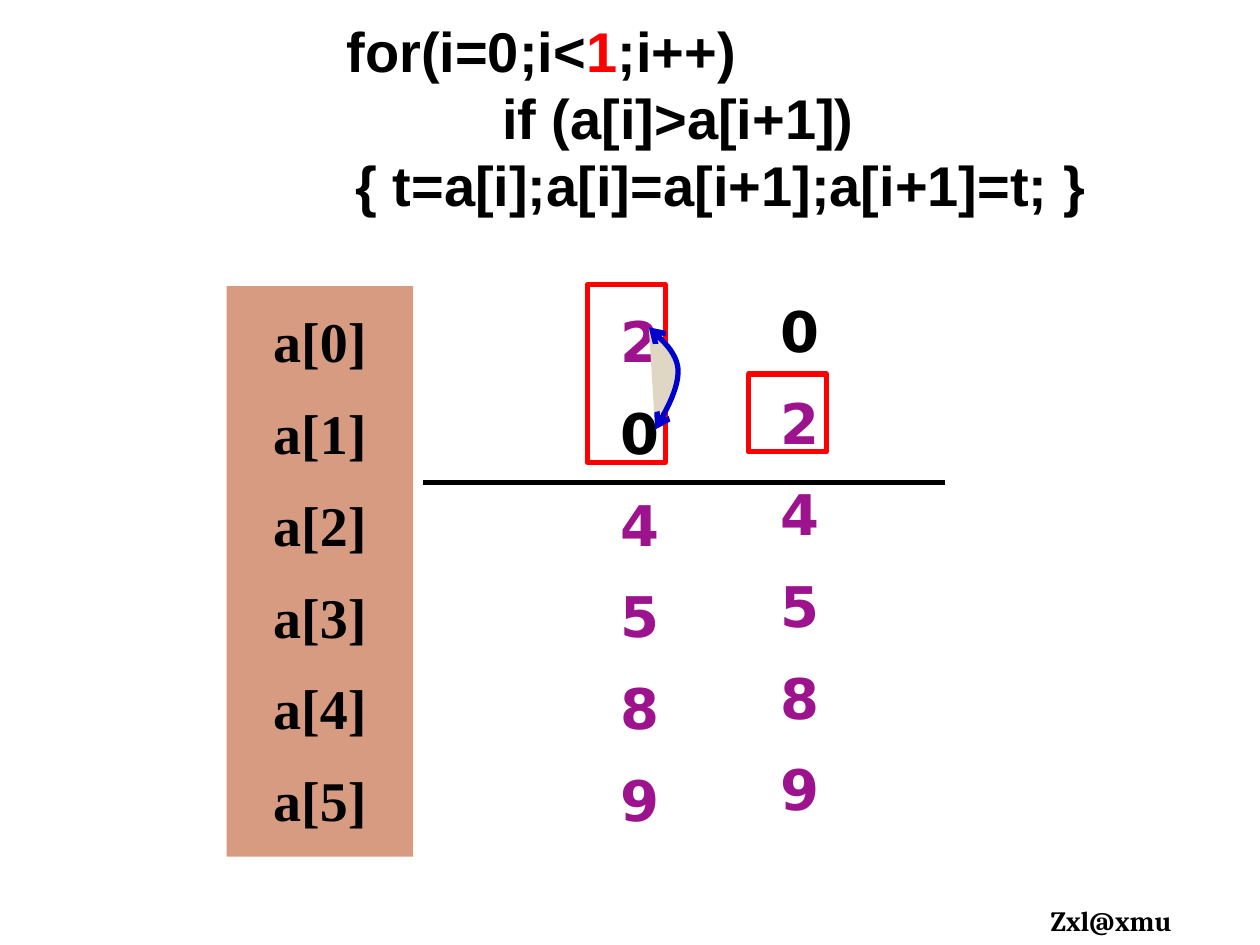
import pptx
import pptx.dml.color
import pptx.enum.shapes
import pptx.enum.text
import pptx.oxml
import pptx.oxml.ns
import pptx.util

Cm, Pt = pptx.util.Cm, pptx.util.Pt
SHAPE = pptx.enum.shapes.MSO_SHAPE
ALIGN = pptx.enum.text.PP_ALIGN

THEME = {
    "ink": "000000", "accent": "FF0000", "value": "9D138D", "panel": "D69B80",
    "paper": "FFFFFF", "arrow": "0000CC", "bow": "DFD6C3",
    "code_font": "Arial", "label_font": "Times New Roman",
    "value_font": "DejaVu Sans", "footer_font": "Cambria",
    "size": 32, "footer_size": 16, "line": 3, "row": 46.6, "row_gap": 5.8,
}

# Code lines: left indent in cm, then runs of text and colour
CODE = [
    (1.07, [("for(i=0;i<", "ink"), ("1", "accent"), (";i++)", "ink")]),
    (4.21, [("if (a[i]>a[i+1])", "ink")]),
    (1.25, [("{ t=a[i];a[i]=a[i+1];a[i+1]=t; }", "ink")]),
]
LABELS = [f"a[{i}]" for i in range(6)]
FOOTER = "Zxl@xmu"
MOVING = "0"  # the value that bubbles up

# Boxes in cm: left, top, width, height
CODE_BOX = (5.66, 0.2, 16.61, 4.37)
LABEL_BOX = (4.57, 5.77, 3.76, 11.5)
FOOTER_BOX = (20.93, 18.08, 3.28, 0.94)
STEPS = [
    {"values": "204589", "box": (11.91, 5.77, 1.98, 11.5),
     "frame": (11.84, 5.74, 1.57, 3.58)},
    {"values": "024589", "box": (15.14, 5.56, 1.98, 11.5),
     "frame": (15.09, 7.54, 1.57, 1.57)},
]
DIVIDER = (8.53, 9.73, 19.05, 9.73)
SWAP_CURVES = [
    [(13.21, 8.66), (13.46, 8.23), (13.69, 7.8), (13.67, 7.44)],
    [(13.67, 7.44), (13.64, 7.11), (13.36, 6.86), (13.08, 6.6)],
]
CURVE_STEPS = 12


def cm(values):
    return [Cm(v) for v in values]


def color(name):
    return pptx.dml.color.RGBColor.from_string(THEME[name])


def style_run(r, font, size, ink):
    r.font.name, r.font.size, r.font.bold = THEME[font], Pt(THEME[size]), True
    r.font.color.rgb = color(ink)


def place(s, box):
    s.left, s.top, s.width, s.height = cm(box)


def prepare(tf):
    tf.word_wrap = True
    tf.auto_size = pptx.enum.text.MSO_AUTO_SIZE.NONE
    tf.vertical_anchor = pptx.enum.text.MSO_ANCHOR.TOP


def fill(s, name):
    s.fill.solid()
    s.fill.fore_color.rgb = color(name)


def outline(s, name):
    s.line.color.rgb = color(name)
    s.line.width = Pt(THEME["line"])


def add_xml(parent, tag, **attributes):
    """Append an empty drawing element to parent."""
    element = pptx.oxml.parse_xml(f"<a:{tag} {pptx.oxml.ns.nsdecls('a')}/>")
    for key, value in attributes.items():
        element.set(key, value)
    parent.append(element)


def set_indent(p, indent):
    pPr = p._p.get_or_add_pPr()
    pPr.set("marL", str(Cm(indent)))
    pPr.set("indent", "0")
    return pPr


def write_column(s, items, font, ink):
    """One array element per paragraph, centred on a fixed row pitch."""
    tf = s.text_frame
    prepare(tf)
    tf.text = "\n".join(items)
    for p in tf.paragraphs:
        p.alignment = ALIGN.CENTER
        p.line_spacing = Pt(THEME["row"])
        p.space_before = Pt(THEME["row_gap"])
        add_xml(set_indent(p, 0), "buNone")
        style_run(p.runs[0], font, "size", "ink" if p.text == MOVING else ink)


def write_code(s):
    tf = s.text_frame
    prepare(tf)
    tf.margin_right = 0
    for i, (indent, runs) in enumerate(CODE):
        p = tf.paragraphs[0] if i == 0 else tf.add_paragraph()
        p.alignment = ALIGN.LEFT
        set_indent(p, indent)
        for text, ink in runs:
            r = p.add_run()
            r.text = text
            style_run(r, "code_font", "size", ink)


def bezier(points, t):
    weights = ((1 - t) ** 3, 3 * t * (1 - t) ** 2, 3 * t * t * (1 - t), t ** 3)
    return tuple(Cm(sum(w * pt[axis] for w, pt in zip(weights, points)))
                 for axis in (0, 1))


def add_swap_arrow(shapes):
    points = [bezier(curve, i / CURVE_STEPS)
              for curve in SWAP_CURVES for i in range(1, CURVE_STEPS + 1)]
    builder = shapes.build_freeform(*bezier(SWAP_CURVES[0], 0))
    builder.add_line_segments(points, close=False)
    s = builder.convert_to_shape()
    s.shadow.inherit = False
    fill(s, "bow")
    outline(s, "arrow")
    ln = s.line._get_or_add_ln()
    add_xml(ln, "round")
    for end in ("headEnd", "tailEnd"):
        add_xml(ln, end, type="arrow")


def add_frame(shapes, box):
    s = shapes.add_shape(SHAPE.FLOWCHART_PROCESS, *cm(box))
    s.shadow.inherit = False
    s.fill.background()
    outline(s, "accent")


def main():
    prs = pptx.Presentation()
    prs.slide_width, prs.slide_height = Cm(25.4), Cm(19.05)
    slide = prs.slides.add_slide(prs.slide_layouts[1])
    shapes = slide.shapes
    title, labels = shapes.title, slide.placeholders[1]

    place(title, CODE_BOX)
    fill(title, "paper")
    write_code(title)

    place(labels, LABEL_BOX)
    fill(labels, "panel")
    write_column(labels, LABELS, "label_font", "ink")

    divider = shapes.add_connector(
        pptx.enum.shapes.MSO_CONNECTOR.STRAIGHT, *cm(DIVIDER))
    outline(divider, "ink")
    add_xml(divider._element.spPr, "effectLst")

    for step in STEPS:
        column = shapes.add_textbox(*cm(step["box"]))
        write_column(column, step["values"], "value_font", "value")
        add_frame(shapes, step["frame"])
    add_swap_arrow(shapes)

    footer = shapes.add_textbox(*cm(FOOTER_BOX))
    prepare(footer.text_frame)
    footer.text_frame.text = FOOTER
    style_run(footer.text_frame.paragraphs[0].runs[0],
              "footer_font", "footer_size", "ink")
    prs.save("out.pptx")


if __name__ == "__main__":
    main()
